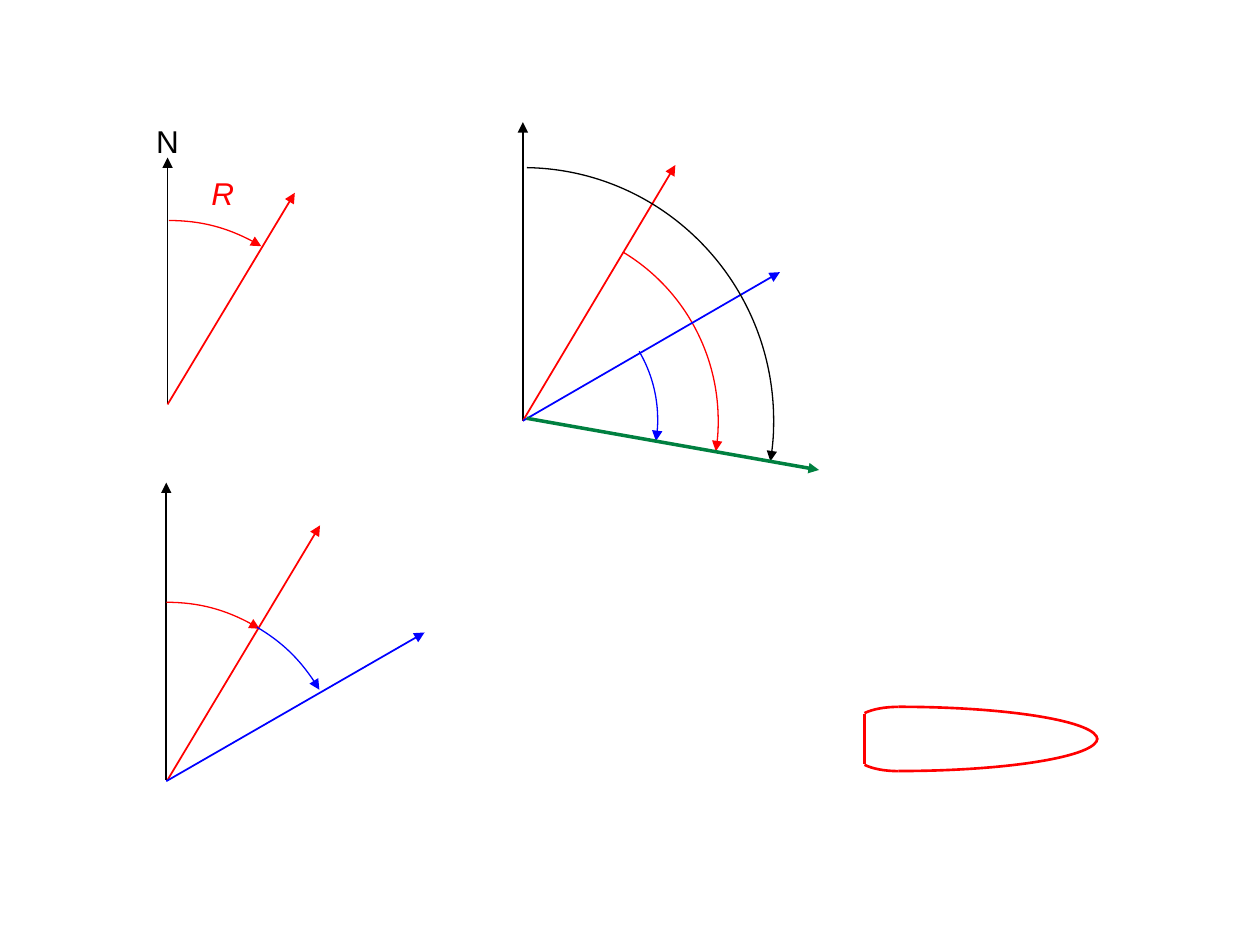
import math

import pptx
import pptx.dml.color
import pptx.enum.shapes
import pptx.enum.text
import pptx.oxml
import pptx.oxml.ns
import pptx.util

Inches = pptx.util.Inches
BLACK, RED, BLUE, GREEN = "000000", "FF0000", "0000FF", "008040"


def colour(hex_string):
    """Return the colour for a hex string."""
    return pptx.dml.color.RGBColor.from_string(hex_string)


def drawing_xml(tag, attributes="", content=""):
    """Return a DrawingML element."""
    return pptx.oxml.parse_xml("<a:%s %s %s>%s</a:%s>" % (
        tag, pptx.oxml.ns.nsdecls("a"), attributes, content, tag))


def style_line(line, hue, width, arrow):
    """Set colour and width of a line and give it an arrowhead if wanted."""
    line.color.rgb = colour(hue)
    line.width = pptx.util.Pt(width)
    if arrow:
        line._get_or_add_ln().append(drawing_xml("tailEnd", 'type="triangle"'))


def add_ray(region, start, end, hue, width=1, arrow=True):
    """Draw a straight line between two points."""
    ray = region.shapes.add_connector(
        pptx.enum.shapes.MSO_CONNECTOR.STRAIGHT,
        *(Inches(value) for value in (*start, *end)))
    style_line(ray.line, hue, width, arrow)
    ray._element.spPr.append(drawing_xml("effectLst"))


def add_arc(region, centre, radii, angles, hue, width=0.75, arrow=True):
    """Draw an arc with its unstroked sector, in degrees clockwise from east."""
    def place(angle, reach=0):
        """Return the arc point, moved along its tangent by a share of the radii."""
        turn = math.radians(angle)
        return (Inches(centre[0] + radii[0] * (math.cos(turn) - reach * math.sin(turn))),
                Inches(centre[1] + radii[1] * (math.sin(turn) + reach * math.cos(turn))))

    first, last = angles
    stops = [first, 0, last] if first < 0 < last else [first, last]
    pivot = tuple(Inches(value) for value in centre)
    corners = [place(stop) for stop in stops] + [pivot]
    builder = region.shapes.build_freeform(*corners[0])
    builder.add_line_segments(corners[1:])
    arc = builder.convert_to_shape()
    left, top = (min(values) for values in zip(*corners))

    def point(position):
        """Return a path point relative to the shape."""
        return '<a:pt x="%d" y="%d"/>' % (position[0] - left, position[1] - top)

    curve = "<a:moveTo>%s</a:moveTo>" % point(corners[0])
    for begin, end in zip(stops, stops[1:]):
        reach = 4 / 3 * math.tan(math.radians(end - begin) / 4)
        knots = place(begin, reach), place(end, -reach), place(end)
        curve += "<a:cubicBezTo>%s</a:cubicBezTo>" % "".join(map(point, knots))
    sector = curve + "<a:lnTo>%s</a:lnTo><a:close/>" % point(pivot)
    paths = arc._element.spPr.find(".//" + pptx.oxml.ns.qn("a:pathLst"))
    paths.remove(paths[0])
    size = 'w="%d" h="%d" ' % (arc.width, arc.height)
    paths.append(drawing_xml("path", size + 'fill="none"', curve))
    paths.append(drawing_xml("path", size + 'stroke="0"', sector))
    arc.fill.background()
    arc.shadow.inherit = False
    style_line(arc.line, hue, width, arrow)


def add_label(region, text, left, top, width, hue, italic=False):
    """Write a one-letter label."""
    label = region.shapes.add_textbox(
        Inches(left), Inches(top), Inches(width), Inches(0.4))
    label.text_frame.word_wrap = False
    label.text_frame.auto_size = pptx.enum.text.MSO_AUTO_SIZE.SHAPE_TO_FIT_TEXT
    paragraph = label.text_frame.paragraphs[0]
    paragraph.text = text
    paragraph.font.name = "Arial"
    paragraph.font.size = pptx.util.Pt(18)
    paragraph.font.italic = italic
    paragraph.font.color.rgb = colour(hue)


def add_relative_bearing(slide, left, top, height):
    """Draw the two headings with successive angles between them."""
    region = slide.shapes.add_group_shape()
    bottom = top + height
    pivot = (left, bottom - 0.01)
    add_ray(region, pivot, (left, top), BLACK)
    add_ray(region, (left + 0.01, bottom - 0.01), (left + 1.22, top + 0.34), RED)
    add_arc(region, pivot, (1.41, 1.41), (-90, -58.3), RED)
    add_ray(region, (left, bottom), (left + 2.05, top + 1.19), BLUE)
    add_arc(region, pivot, (1.41, 1.41), (-59.3, -30.5), BLUE)


def add_bearing_comparison(slide, left, top, height):
    """Draw three headings and their angles to the green direction."""
    region = slide.shapes.add_group_shape()
    pivot = (left, top + height)
    add_ray(region, pivot, (left, top), BLACK)
    add_ray(region, pivot, (left + 1.21, top + 0.34), RED)
    add_arc(region, pivot, (1.55, 1.56), (-59.2, 8.9), RED)
    add_ray(region, pivot, (left + 2.04, top + 1.19), BLUE)
    add_arc(region, (left, top + height - 0.01), (1.07, 1.07), (-30.4, 9.2), BLUE)
    add_arc(region, pivot, (1.99, 2.01), (-89.1, 9.2), BLACK)
    add_ray(region, (left + 0.03, top + height - 0.02),
            (left + 2.35, top + height + 0.39), GREEN, 2)


def add_hull(slide, left, top, width, height):
    """Draw the boat outline, mirrored about its long axis."""
    region = slide.shapes.add_group_shape()
    stern = 0.27
    bottom, shoulder = top + height, left + stern
    outline = {"hue": RED, "width": 1.5, "arrow": False}
    add_ray(region, (left, top + 0.06), (left, bottom - 0.06), **outline)
    for edge, side in ((top, 1), (bottom, -1)):
        add_arc(region, (shoulder, edge + side * 0.26), (width - stern, 0.26),
                (-90 * side, 0), **outline)
        add_arc(region, (shoulder, edge + side * 0.12), (0.33, 0.12),
                (-90 * side, -144.5 * side), **outline)


def add_heading(slide, left, top, height):
    """Draw one heading measured from north, with its labels."""
    region = slide.shapes.add_group_shape()
    pivot = (left, top + height)
    add_ray(region, pivot, (left, top), BLACK)
    add_ray(region, pivot, (left + 1.01, top + 0.28), RED)
    add_arc(region, (left + 0.01, top + height - 0.04), (1.42, 1.42),
            (-90, -58.9), RED)
    add_label(region, "R", left + 0.25, top + 0.08, 0.44, RED, italic=True)
    add_label(region, "N", left - 0.19, top - 0.33, 0.38, BLACK)


def main():
    """Build the slide and save it."""
    deck = pptx.Presentation()
    deck.slide_width, deck.slide_height = Inches(10), Inches(7.5)
    slide = deck.slides.add_slide(deck.slide_layouts[6])
    add_relative_bearing(slide, 1.32, 3.83, 2.37)
    add_bearing_comparison(slide, 4.15, 0.97, 2.37)
    add_hull(slide, 6.86, 5.61, 1.85, 0.51)
    add_heading(slide, 1.33, 1.25, 1.96)
    deck.save("out.pptx")


main()
